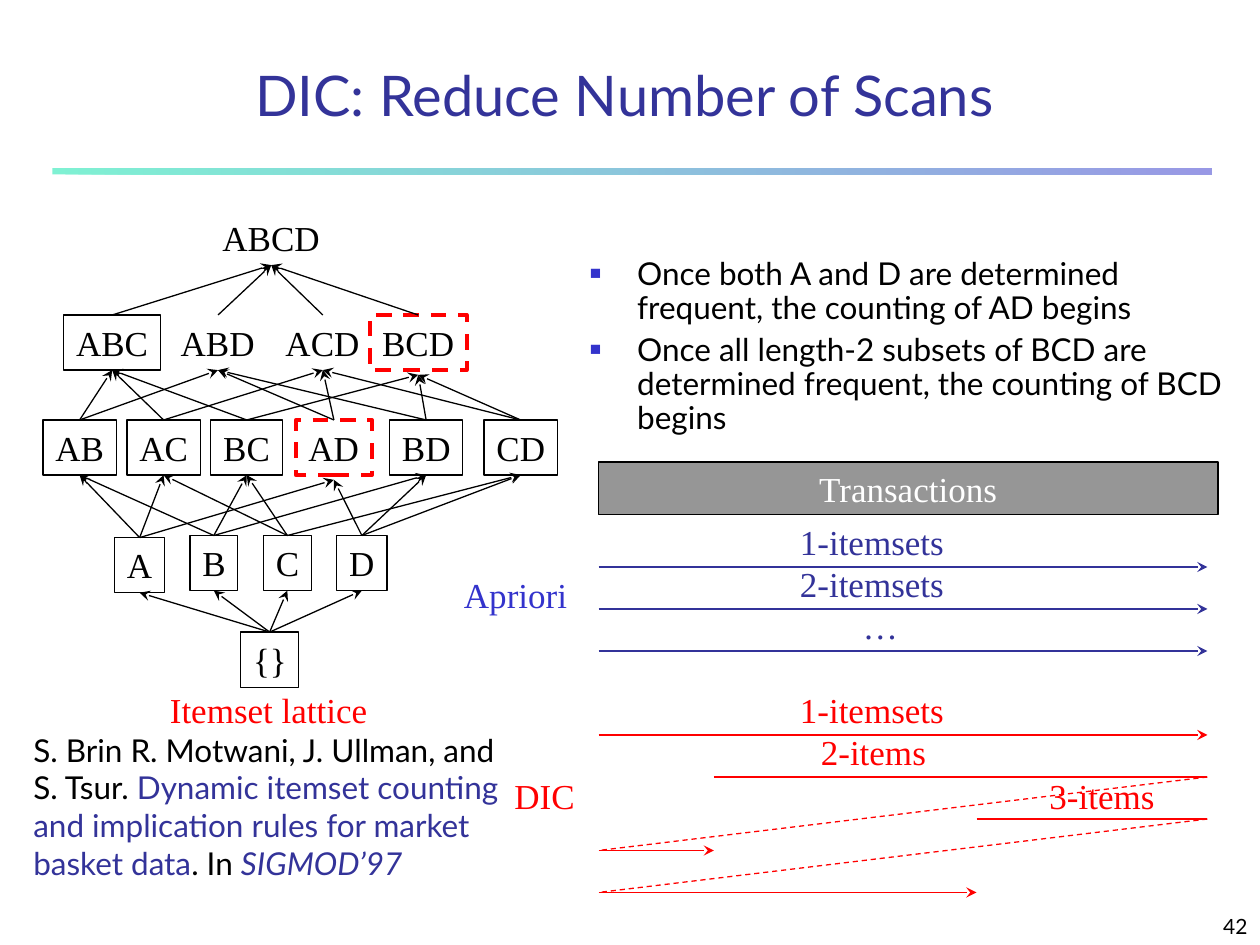
from dataclasses import dataclass

import pptx
import pptx.dml.color
import pptx.enum.dml
import pptx.enum.shapes
import pptx.enum.text
import pptx.oxml.ns
import pptx.util
from lxml import etree

Pt = pptx.util.Pt
RGB = pptx.dml.color.RGBColor.from_string
qn = pptx.oxml.ns.qn
Align = pptx.enum.text.PP_ALIGN
Anchor = pptx.enum.text.MSO_ANCHOR
DASH = pptx.enum.dml.MSO_LINE.DASH
RECTANGLE = pptx.enum.shapes.MSO_SHAPE.RECTANGLE


@dataclass
class Theme:
    sans: str = "Lato"
    serif: str = "Times New Roman"
    black: str = "000000"
    white: str = "FFFFFF"
    navy: str = "333399"
    blue: str = "3333CC"
    mint: str = "00E4A8"
    red: str = "FF0000"
    gray: str = "969696"
    title: int = 32
    label: int = 20
    body: int = 18
    small: int = 12
    thin: float = 0.75
    thick: float = 2.25


theme = Theme()
LABEL_HEIGHT = 31.5

deck = pptx.Presentation()
deck.slide_width, deck.slide_height = Pt(720), Pt(540)
slide = deck.slides.add_slide(deck.slide_layouts[6])


def add_text(paragraphs, left, top, width, height=LABEL_HEIGHT, face=theme.serif,
             size=theme.label, align=Align.LEFT, anchor=Anchor.TOP, wrap=False, boxed=False):
    """Each paragraph is a list of (text, colour, italic) runs."""
    place = Pt(left), Pt(top), Pt(width), Pt(height)
    if boxed:
        holder = slide.shapes.add_shape(RECTANGLE, *place)
        holder.shadow.inherit = False
        holder.fill.background()
        holder.line.color.rgb = RGB(theme.black)
        holder.line.width = Pt(theme.thin)
    else:
        holder = slide.shapes.add_textbox(*place)
    frame = holder.text_frame
    frame.word_wrap = wrap
    frame.vertical_anchor = anchor
    for index, runs in enumerate(paragraphs):
        paragraph = frame.add_paragraph() if index else frame.paragraphs[0]
        paragraph.alignment = align
        for words, color, italic in runs:
            run = paragraph.add_run()
            run.text = words
            run.font.name = face
            run.font.size = Pt(size)
            run.font.italic = italic
            run.font.color.rgb = RGB(color)
    return holder


def add_line(start, end, color=theme.black, arrow=True, dashed=False):
    line = slide.shapes.add_connector(pptx.enum.shapes.MSO_CONNECTOR.STRAIGHT,
                                      *(Pt(length) for length in (*start, *end)))
    line.line.color.rgb = RGB(color)
    line.line.width = Pt(theme.thin)
    if dashed:
        line.line.dash_style = DASH
    if arrow:
        etree.SubElement(line.line._get_or_add_ln(), qn("a:tailEnd"), type="stealth")
    etree.SubElement(line._element.spPr, qn("a:effectLst"))


# Title, rule under it and page number
rule = slide.shapes.add_shape(RECTANGLE, Pt(30), Pt(96), Pt(662.4), Pt(3.6))
rule.shadow.inherit = False
rule.line.fill.background()
rule.fill.gradient()
rule.fill.gradient_angle = 0
for stop, position, color in zip(rule.fill.gradient_stops, (0, 1), (theme.mint, theme.blue)):
    stop.position = position
    stop.color.rgb = RGB(color)
for color in rule._element.spPr.iter(qn("a:srgbClr")):
    etree.SubElement(color, qn("a:alpha"), val="50000")

title = add_text([[("DIC: Reduce Number of Scans", theme.navy, False)]], 30, 33, 654, 40,
                 face=theme.sans, size=theme.title, align=Align.CENTER,
                 anchor=Anchor.BOTTOM, wrap=True)
title.text_frame.margin_top = title.text_frame.margin_bottom = 0
add_text([[("42", theme.black, False)]], 570, 510, 150, 30, face=theme.sans,
         size=theme.small, align=Align.RIGHT, anchor=Anchor.BOTTOM, wrap=True)

# Itemset lattice: itemset, centre, top, width
lattice = [
    ("ABCD", 155, 120, 70),
    ("ABC", 64.1, 180, 55.4), ("ABD", 124.6, 180, 56.9),
    ("ACD", 184.5, 180, 56.9), ("BCD", 239, 180, 55.4),
    ("AB", 45.5, 240, 41.8), ("AC", 93.5, 240, 41.8), ("BC", 141, 240, 41),
    ("AD", 190.8, 240, 43.4), ("BD", 243.5, 240, 41.8), ("CD", 297.5, 240, 41.8),
    ("A", 79.8, 307.2, 28.8), ("B", 122.2, 306, 27.4),
    ("C", 164.2, 306, 27.4), ("D", 206.8, 306, 28.8),
    ("{}", 154.1, 361.2, 33.1),
]
uncounted = {"ABCD", "ABD", "ACD"}
just_started = {"BCD", "AD"}
for itemset, center, top, width in lattice:
    node = add_text([[(itemset, theme.black, False)]], center - width / 2, top, width,
                    boxed=itemset not in uncounted)
    if itemset in just_started:
        node.line.color.rgb = RGB(theme.red)
        node.line.width = Pt(theme.thick)
        node.line.dash_style = DASH

# Every itemset points to the itemsets with one more item
for subset, subset_x, subset_top, _ in lattice:
    items = set(subset) - set("{}")
    for superset, superset_x, superset_top, _ in lattice:
        if len(superset.strip("{}")) == len(items) + 1 and items < set(superset):
            gap = 2.7 if superset in just_started else 0
            add_line((subset_x, subset_top), (superset_x, superset_top + LABEL_HEIGHT + gap))

# Captions
for words, left, top, width, color in [
    ("Itemset lattice", 90, 390, 128, theme.red),
    ("Apriori", 258, 324, 74, theme.blue),
    ("DIC", 286.8, 439.2, 49, theme.red),
]:
    add_text([[(words, color, False)]], left, top, width)

# Bulleted points
points = add_text([
    [("Once both A and D are determined frequent, the counting of AD begins",
      theme.black, False)],
    [("Once all length-2 subsets of BCD are determined frequent, the counting of BCD begins",
      theme.black, False)],
], 330, 144, 378, 114, face=theme.sans, size=theme.body, wrap=True)
for index, point in enumerate(points.text_frame.paragraphs):
    point.line_spacing = 0.9
    point.space_before = Pt(4.5 if index else 0)
    properties = point._p.get_or_add_pPr()
    properties.set("marL", str(Pt(27)))
    properties.set("indent", str(-Pt(27)))
    bullet_color = etree.SubElement(properties, qn("a:buClr"))
    etree.SubElement(bullet_color, qn("a:srgbClr"), val=theme.blue)
    etree.SubElement(properties, qn("a:buSzPct"), val="60000")
    etree.SubElement(properties, qn("a:buFont"), typeface=theme.serif)
    etree.SubElement(properties, qn("a:buChar"), char="■")

# Transactions bar
scan_left, scan_right = 342, 690
transactions = add_text([[("Transactions", theme.white, False)]], scan_left, 264, 354, 30,
                        align=Align.CENTER, anchor=Anchor.MIDDLE, boxed=True)
transactions.fill.solid()
transactions.fill.fore_color.rgb = RGB(theme.gray)

# Scans: label, label left, label top, label width, line start, line y, colour
for words, left, top, width, start, y, color in [
    ("1-itemsets", 450, 294, 100, scan_left, 324, theme.navy),
    ("2-itemsets", 450, 318, 100, scan_left, 348, theme.navy),
    ("…", 486, 342, 36, scan_left, 372, theme.navy),
    ("1-itemsets", 450, 390, 100, scan_left, 420, theme.red),
    ("2-items", 462, 414, 78, 408, 444, theme.red),
    ("3-items", 592.6, 439.2, 78, 558, 468, theme.red),
]:
    add_text([[(words, color, False)]], left, top, width)
    starts_late = start > scan_left
    add_line((start, y), (scan_right, y), color, arrow=not starts_late)
    if starts_late:  # the scan wraps round to the transactions it missed
        wrapped_y = y + 42
        add_line((scan_right, y), (scan_left, wrapped_y), color, arrow=False, dashed=True)
        add_line((scan_left, wrapped_y), (start, wrapped_y), color)

# Citation
add_text([[
    ("S. Brin R. Motwani, J. Ullman, and S. Tsur. ", theme.black, False),
    ("Dynamic itemset counting and implication rules for market basket data",
     theme.navy, False),
    (". In ", theme.black, False),
    ("SIGMOD’97", theme.navy, True),
]], 12, 414, 282, 115.2, face=theme.sans, size=theme.body, wrap=True)

deck.save("out.pptx")
